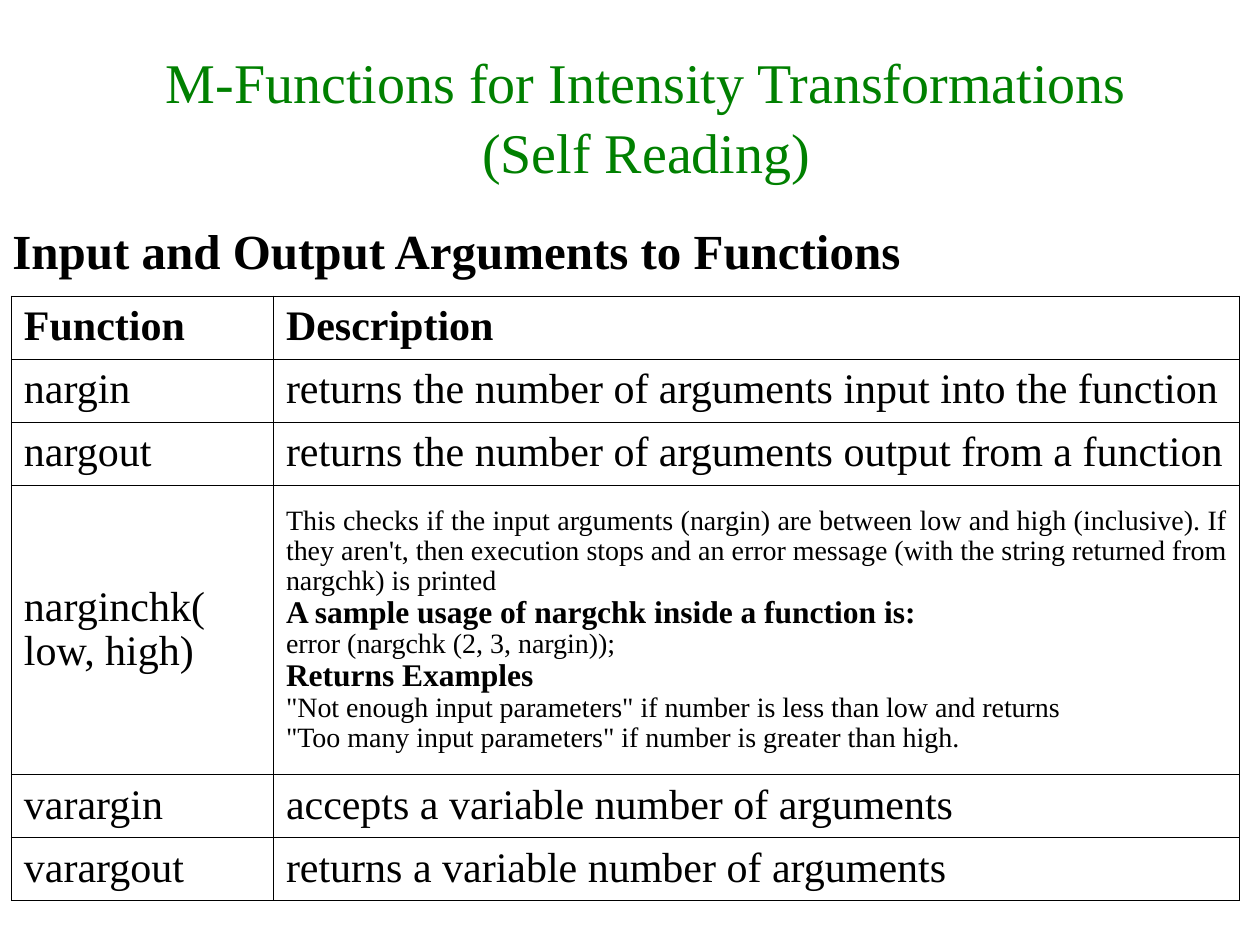
from lxml.etree import SubElement
from pptx import Presentation
from pptx.dml.color import RGBColor
from pptx.enum.text import MSO_ANCHOR, PP_ALIGN
from pptx.oxml.ns import qn
from pptx.util import Inches, Pt

WIDE, HIGH = 10, 7.5
COLS = [2.08, 7.67]
ROWS = [0.5, 0.5, 0.5, 2.3, 0.5, 0.5]
BODY = {"size": Pt(24), "bold": False}
BOLD = {"size": Pt(24), "bold": True}
NOTE = {"size": Pt(16), "bold": False}
HEAD = {"size": Pt(18), "bold": True}

CHECK = [
    ("This checks if the input arguments (nargin) are between low and high "
     "(inclusive). If they aren't, then execution stops and an error message "
     "(with the string returned from nargchk) is printed", NOTE, PP_ALIGN.JUSTIFY),
    ("A sample usage of nargchk inside a function is:", HEAD),
    ("error (nargchk (2, 3, nargin));", NOTE),
    ("Returns Examples", HEAD),
    ('"Not enough input parameters" if number is less than low and returns', NOTE),
    ('"Too many input parameters" if number is greater than high.', NOTE),
]
CELLS = [
    ([("Function", BOLD)], [("Description", BOLD)]),
    ([("nargin", BODY)],
     [("returns the number of arguments input into the function", BODY)]),
    ([("nargout", BODY)],
     [("returns the number of arguments output from a function", BODY)]),
    ([("narginchk(", BODY), ("low, high)", BODY)], CHECK),
    ([("varargin", BODY)], [("accepts a variable number of arguments", BODY)]),
    ([("varargout", BODY)], [("returns a variable number of arguments", BODY)]),
]


def color(code):
    return RGBColor.from_string(code)


def write(frame, lines, ink="000000", gap=1.0):
    """Fill a text frame with (text, format, optional alignment) lines."""
    for i, (text, style, *align) in enumerate(lines):
        para = frame.paragraphs[0] if i == 0 else frame.add_paragraph()
        para.alignment = align[0] if align else PP_ALIGN.LEFT
        para.line_spacing = gap
        para.space_before = para.space_after = Pt(0)
        run = para.add_run()
        run.text = text
        for key, value in {"name": "Times New Roman", **style}.items():
            setattr(run.font, key, value)
        run.font.color.rgb = color(ink)


def place(shape, left, top, width, height):
    spot = {"left": left, "top": top, "width": width, "height": height}
    for key, value in spot.items():
        setattr(shape, key, Inches(value))


def border(cell, ink="000000", width=0.75):
    props = cell._tc.get_or_add_tcPr()
    for i, side in enumerate(("lnL", "lnR", "lnT", "lnB")):
        line = props.makeelement(qn(f"a:{side}"), {"w": str(Pt(width))})
        fill = SubElement(line, qn("a:solidFill"))
        SubElement(fill, qn("a:srgbClr"), val=ink)
        props.insert(i, line)


def add_title(slide):
    title = slide.shapes.title
    place(title, 0.9, 0.32, 8.46, 1.18)
    title.text_frame.vertical_anchor = MSO_ANCHOR.MIDDLE
    style = {"size": Pt(32), "bold": False}
    lines = ["M-Functions for Intensity Transformations", "(Self Reading)"]
    write(title.text_frame, [(t, style, PP_ALIGN.CENTER) for t in lines],
          "008000", 1.04)


def add_label(slide):
    box = slide.shapes.add_textbox(0, 0, 0, 0)
    place(box, 0, 1.7, 7.39, 0.57)
    box.text_frame.word_wrap = False
    box.text_frame.vertical_anchor = MSO_ANCHOR.MIDDLE
    style = {"size": Pt(28), "bold": True}
    write(box.text_frame, [("Input and Output Arguments to Functions", style)])


def add_grid(slide):
    spot = [Inches(n) for n in (0.09, 2.35, sum(COLS), sum(ROWS))]
    grid = slide.shapes.add_table(len(ROWS), len(COLS), *spot).table
    grid.first_row = grid.horz_banding = False
    for col, width in zip(grid.columns, COLS):
        col.width = Inches(width)
    for row, height, texts in zip(grid.rows, ROWS, CELLS):
        row.height = Inches(height)
        for cell, lines in zip(row.cells, texts):
            cell.fill.background()
            cell.vertical_anchor = MSO_ANCHOR.MIDDLE
            border(cell)
            write(cell.text_frame, lines, gap=0.96)


def main():
    deck = Presentation()
    deck.slide_width, deck.slide_height = Inches(WIDE), Inches(HIGH)
    slide = deck.slides.add_slide(deck.slide_layouts[5])
    slide.background.fill.solid()
    slide.background.fill.fore_color.rgb = color("FFFFFF")
    add_title(slide)
    add_grid(slide)
    add_label(slide)
    deck.save("out.pptx")


if __name__ == "__main__":
    main()
